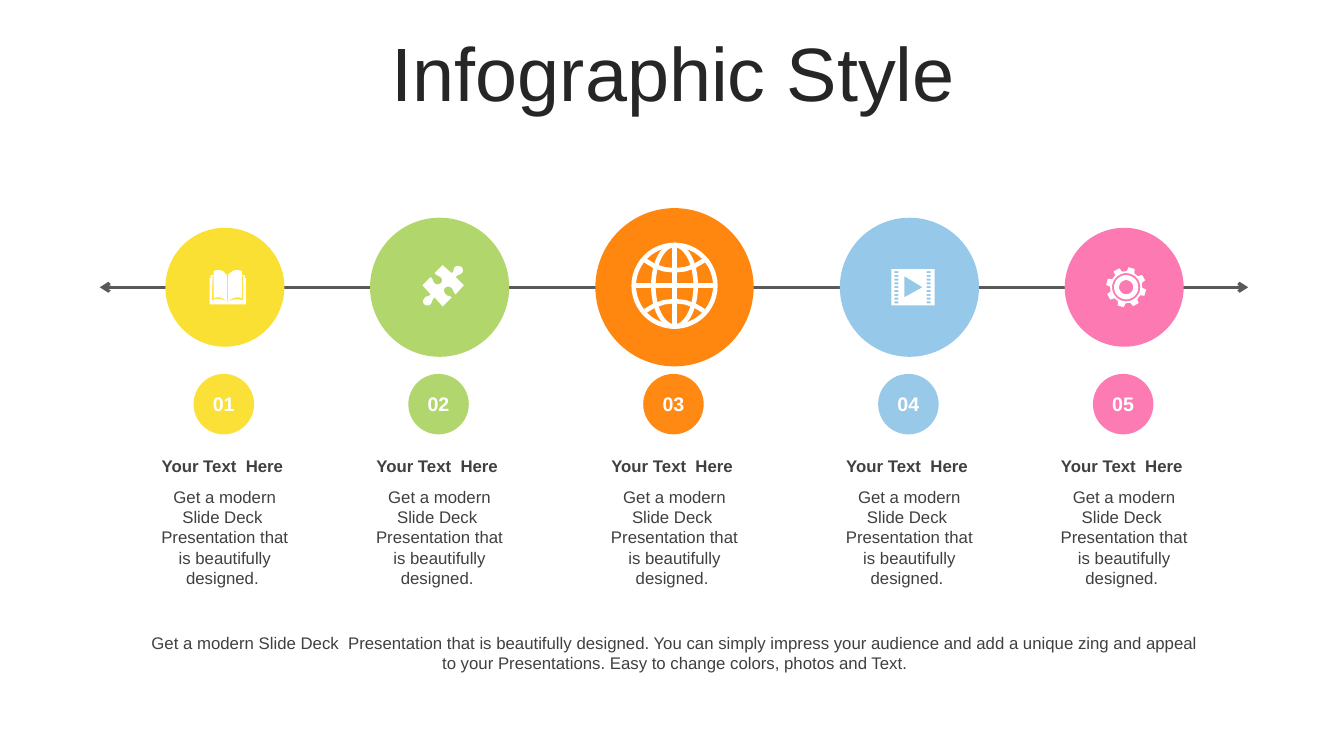
from dataclasses import dataclass
from math import cos, pi, radians, sin

from lxml.etree import SubElement
from pptx import Presentation
from pptx.dml.color import RGBColor
from pptx.enum.shapes import MSO_CONNECTOR, MSO_SHAPE
from pptx.enum.text import MSO_ANCHOR, MSO_AUTO_SIZE, PP_ALIGN
from pptx.oxml.ns import qn
from pptx.util import Inches, Pt


@dataclass(frozen=True)
class Theme:
    font: str = "Arial"
    heading: str = "262626"
    text: str = "404040"
    axis: str = "595959"
    white: str = "FFFFFF"
    title_size: int = 54
    number_size: int = 14
    text_size: int = 12


THEME = Theme()
AXIS_Y = 2.85
# Centre, diameter and colour of each step
STEPS = [
    (2.23, 1.18, "FBE034"),
    (4.36, 1.38, "B0D66C"),
    (6.69, 1.57, "FF870F"),
    (9.02, 1.38, "96C8E9"),
    (11.15, 1.18, "FC79B2"),
]
STEP_HEADING = "Your Text  Here "
STEP_TEXT = "Get a modern Slide Deck  Presentation that is beautifully designed. "
SUMMARY = (
    "Get a modern Slide Deck  Presentation that is beautifully designed. "
    "You can simply impress your audience and add a unique zing and "
    "appeal to your Presentations. Easy to change colors, photos and Text."
)

# Icon outlines: pairs are corners, sixes are cubic curves
PUZZLE = [
    (4.58, 2.65), (4.59, 2.66, 4.6, 2.69, 4.58, 2.71), (4.56, 2.73, 4.54, 2.72, 4.52, 2.75),
    (4.6, 2.83), (4.52, 2.92), (4.49, 2.9, 4.5, 2.87, 4.47, 2.85),
    (4.45, 2.84, 4.43, 2.84, 4.41, 2.86), (4.4, 2.87, 4.4, 2.9, 4.42, 2.92),
    (4.44, 2.94, 4.45, 2.93, 4.48, 2.95), (4.39, 3.04), (4.31, 2.95),
    (4.28, 2.98, 4.29, 2.99, 4.27, 3.02), (4.25, 3.04, 4.22, 3.03, 4.21, 3.02),
    (4.19, 3, 4.19, 2.98, 4.21, 2.96), (4.22, 2.93, 4.25, 2.95, 4.27, 2.92),
    (4.19, 2.83), (4.27, 2.75), (4.3, 2.77, 4.29, 2.79, 4.31, 2.81),
    (4.33, 2.83, 4.36, 2.82, 4.37, 2.81), (4.39, 2.8, 4.39, 2.77, 4.37, 2.75),
    (4.34, 2.73, 4.34, 2.74, 4.31, 2.71), (4.39, 2.63), (4.48, 2.71),
    (4.51, 2.69, 4.49, 2.68, 4.51, 2.65), (4.53, 2.63, 4.56, 2.64, 4.58, 2.65),
]
BOOK = [
    (2.25, 2.99), (2.26, 2.99), (2.32, 2.97, 2.35, 2.96, 2.41, 2.98), (2.41, 2.74),
    (2.4, 2.74), (2.4, 2.96), (2.36, 2.94, 2.31, 2.95, 2.26, 2.99), (2.26, 2.73),
    (2.29, 2.7, 2.31, 2.68, 2.35, 2.68), (2.36, 2.68, 2.38, 2.68, 2.4, 2.69),
    (2.4, 2.73), (2.43, 2.73), (2.43, 2.76), (2.44, 2.76), (2.44, 3.02),
    (2.08, 3.02), (2.08, 2.76), (2.09, 2.76), (2.09, 2.73), (2.12, 2.73),
    (2.12, 2.69), (2.14, 2.68, 2.16, 2.68, 2.17, 2.68),
    (2.2, 2.68, 2.23, 2.7, 2.25, 2.73), (2.25, 2.99),
    (2.21, 2.95, 2.16, 2.94, 2.12, 2.96), (2.12, 2.74), (2.11, 2.74), (2.1, 2.98),
    (2.16, 2.95, 2.2, 2.97, 2.25, 2.99),
]


def rgb(color):
    return RGBColor.from_string(color)


def write(shape, text, size, color, bold=False):
    frame = shape.text_frame
    frame.word_wrap = True
    paragraph = frame.paragraphs[0]
    paragraph.text = text
    paragraph.alignment = PP_ALIGN.CENTER
    font = paragraph.font
    font.name, font.size, font.bold = THEME.font, Pt(size), bold
    font.color.rgb = rgb(color)
    return frame


def add_text(slide, left, top, width, height, text, bold=False):
    box = slide.shapes.add_textbox(Inches(left), Inches(top), Inches(width), Inches(height))
    write(box, text, THEME.text_size, THEME.text, bold).auto_size = MSO_AUTO_SIZE.SHAPE_TO_FIT_TEXT


def paint(shape, fill=None, stroke=None):
    shape.shadow.inherit = False
    if fill:
        shape.fill.solid()
        shape.fill.fore_color.rgb = rgb(fill)
    else:
        shape.fill.background()
    if stroke:
        shape.line.color.rgb = rgb(THEME.white)
        shape.line.width = Pt(stroke)
    else:
        shape.line.fill.background()
    return shape


def add_ellipse(slide, x, y, width, height, fill=None, stroke=None):
    ellipse = slide.shapes.add_shape(
        MSO_SHAPE.OVAL, Inches(x - width / 2), Inches(y - height / 2), Inches(width), Inches(height))
    return paint(ellipse, fill, stroke)


def add_line(slide, start, end, color, width):
    line = slide.shapes.add_connector(MSO_CONNECTOR.STRAIGHT, *map(Inches, start + end))
    line.line.color.rgb = rgb(color)
    line.line.width = Pt(width)
    SubElement(line._element.spPr, qn("a:effectLst"))
    return line


def flatten(outline, steps=6):
    points = []
    for node in outline:
        if len(node) == 2:
            points.append(node)
            continue
        curve = [points[-1], node[:2], node[2:4], node[4:]]
        for t in (i / steps for i in range(1, steps + 1)):
            weights = ((1 - t) ** 3, 3 * t * (1 - t) ** 2, 3 * t * t * (1 - t), t ** 3)
            points.append(tuple(sum(w * p[axis] for w, p in zip(weights, curve)) for axis in (0, 1)))
    return points


def add_outline(slide, contours, stroke=None):
    contours = [[(Inches(x), Inches(y)) for x, y in flatten(c)] for c in contours]
    builder = slide.shapes.build_freeform(*contours[0][0])
    for index, points in enumerate(contours):
        if index:
            builder.move_to(*points[0])
        builder.add_line_segments(points[1:], close=not stroke)
    paint(builder.convert_to_shape(), None if stroke else THEME.white, stroke)


def rectangle(left, top, right, bottom):
    return [(left, top), (right, top), (right, bottom), (left, bottom)]


def polar(x, y, radius, angle):
    return x + radius * cos(angle), y + radius * sin(angle)


def add_film(slide):
    holes = [rectangle(left, 2.69 + row * 0.0375, left + 0.04, 2.71 + row * 0.0375)
             for row in range(9) for left in (8.87, 9.19)]
    play = [(8.97, 2.74), (8.97, 2.95), (9.15, 2.85)]
    add_outline(slide, [rectangle(8.84, 2.67, 9.27, 3.03), play, *holes])


def add_gear(slide, x=11.17, y=2.85):
    tooth = [(-14, 0.16), (-9, 0.2), (9, 0.2), (14, 0.16)]
    teeth = [polar(x, y, radius, radians(45 * i + 16 + offset))
             for i in range(8) for offset, radius in tooth]
    rings = [[polar(x, y, radius, 2 * pi * i / 48) for i in range(48)]
             for radius in (0.14, 0.12, 0.07)]
    add_outline(slide, [teeth, *rings])


def add_globe(slide, x=6.69, y=2.835, weight=3.25):
    radius = 0.4
    for width in (0.81, 0.42):
        add_ellipse(slide, x, y, width, 0.81, stroke=weight)
    add_line(slide, (x, y - radius), (x, y + radius), THEME.white, weight)
    add_line(slide, (x - radius, y), (x + radius, y), THEME.white, weight)
    for side in (-1, 1):
        edge, bend = y + side * 0.25, y + side * 0.12
        add_outline(slide, [[(x - 0.29, edge), (x - 0.12, bend, x + 0.12, bend, x + 0.29, edge)]], weight)


def add_axis(slide):
    axis = add_line(slide, (0.99, AXIS_Y), (12.38, AXIS_Y), THEME.axis, 2.25)
    for end in ("a:headEnd", "a:tailEnd"):
        SubElement(axis.line._get_or_add_ln(), qn(end), type="arrow")


def add_step(slide, number, x, diameter, color):
    add_ellipse(slide, x, AXIS_Y, diameter, diameter, color)
    badge = add_ellipse(slide, x - 0.01, 4.01, 0.6, 0.6, color)
    SubElement(badge._element.spPr.find(".//" + qn("a:srgbClr")), qn("a:alpha"), val="98000")
    frame = write(badge, f"{number:02}", THEME.number_size, THEME.white, True)
    frame.vertical_anchor = MSO_ANCHOR.MIDDLE
    frame.margin_left = frame.margin_right = 0
    add_text(slide, x - 0.75, 4.47, 1.5, 0.3, STEP_HEADING, True)
    add_text(slide, x - 0.75, 4.78, 1.5, 1.11, STEP_TEXT)


def add_title(slide, text):
    title = slide.shapes.title
    title.left, title.top, title.width, title.height = map(Inches, (0.35, 0.37, 12.66, 0.79))
    frame = write(title, text, THEME.title_size, THEME.heading)
    frame.auto_size = MSO_AUTO_SIZE.NONE
    frame.vertical_anchor = MSO_ANCHOR.MIDDLE
    frame.paragraphs[0].line_spacing = 0.9


def main():
    presentation = Presentation()
    presentation.slide_width, presentation.slide_height = Inches(13.33), Inches(7.5)
    slide = presentation.slides.add_slide(presentation.slide_layouts[5])
    add_title(slide, "Infographic Style")

    # Timeline with its steps
    add_axis(slide)
    for number, step in enumerate(STEPS, 1):
        add_step(slide, number, *step)

    # Icons in the large circles
    add_outline(slide, [BOOK])
    add_outline(slide, [PUZZLE])
    add_globe(slide)
    add_film(slide)
    add_gear(slide)

    # Closing summary
    add_text(slide, 1.4, 6.23, 10.59, 0.5, SUMMARY)
    presentation.save("out.pptx")


if __name__ == "__main__":
    main()
